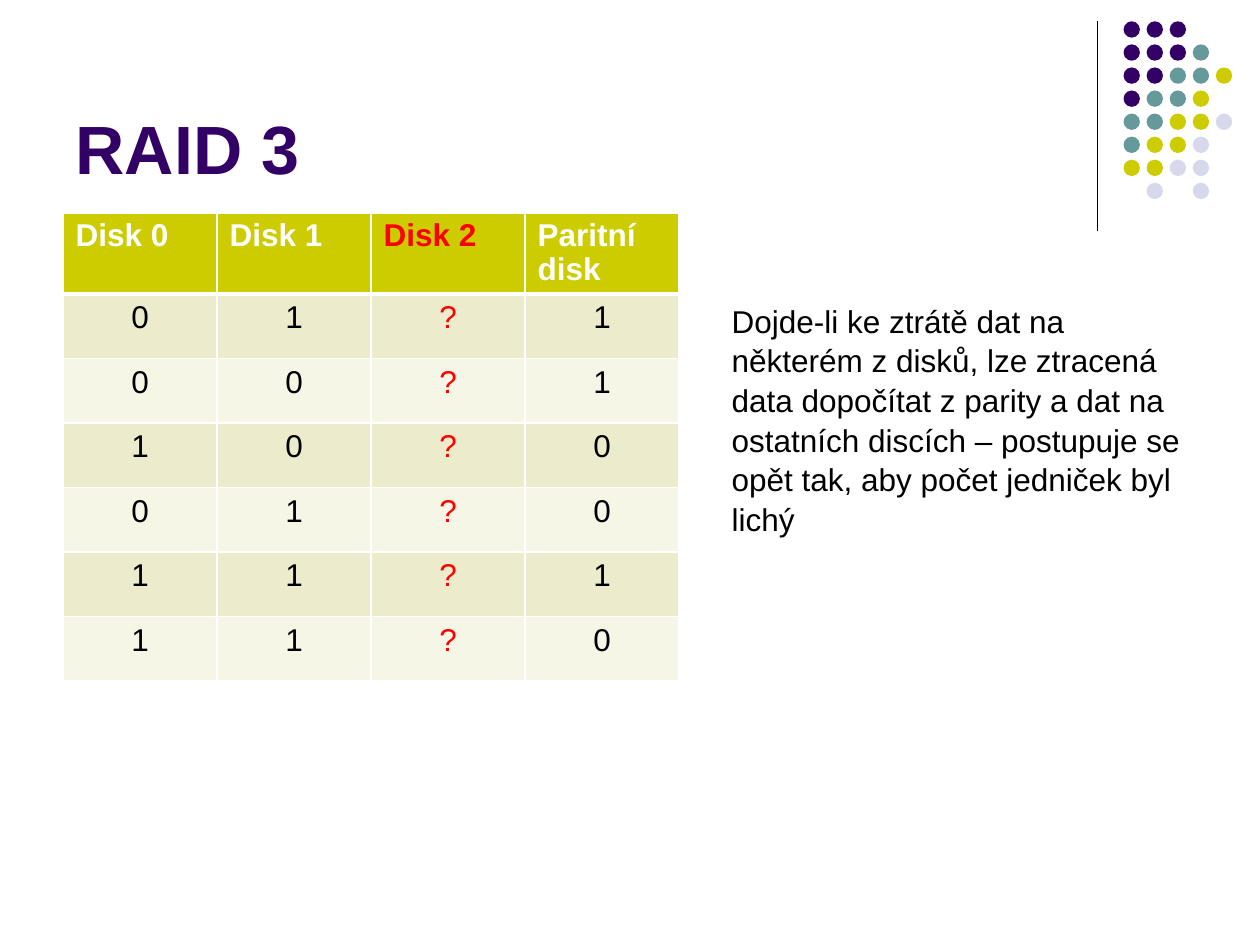
from dataclasses import dataclass

from lxml import etree
from pptx import Presentation
from pptx.dml.color import RGBColor
from pptx.enum.shapes import MSO_CONNECTOR, MSO_SHAPE
from pptx.enum.text import MSO_ANCHOR, PP_ALIGN
from pptx.oxml.ns import qn
from pptx.util import Cm, Pt

STRAIGHT = MSO_CONNECTOR.STRAIGHT
OVAL = MSO_SHAPE.OVAL
BOTTOM = MSO_ANCHOR.BOTTOM
LEFT, CENTER = PP_ALIGN.LEFT, PP_ALIGN.CENTER
TITLE_ONLY = 5

FONT = "Arial"
COLORS = {
    "purple": "330066",
    "teal": "669999",
    "yellow": "CCCC00",
    "lilac": "D8D8EC",
    "band_dark": "ECECCC",
    "band_light": "F6F6E7",
    "red": "FF0000",
    "black": "000000",
    "white": "FFFFFF",
}
DOT_COLORS = {"P": "purple", "T": "teal", "Y": "yellow", "L": "lilac"}
DOT_ROWS = ["PPP", "PPPT", "PPTTY", "PTTY", "TTYYL", "TYYL", "YYLL", " L L"]
DOT_LEFT, DOT_TOP, DOT_PITCH, DOT_SIZE = 22.65, 0.43, 0.465, 0.33

DISK_ROWS = [
    ["Disk 0", "Disk 1", "Disk 2", "Paritní disk"],
    ["0", "1", "?", "1"],
    ["0", "0", "?", "1"],
    ["1", "0", "?", "0"],
    ["0", "1", "?", "0"],
    ["1", "1", "?", "1"],
    ["1", "1", "?", "0"],
]
LOST_DISK = 2
EXPLANATION = (
    "Dojde-li ke ztrátě dat na některém z disků, lze ztracená data dopočítat "
    "z parity a dat na ostatních discích – postupuje se opět tak, "
    "aby počet jedniček byl lichý"
)


@dataclass
class Area:
    left: float
    top: float
    width: float
    height: float

    def lengths(self) -> tuple:
        return Cm(self.left), Cm(self.top), Cm(self.width), Cm(self.height)


def rgb(name: str) -> RGBColor:
    return RGBColor.from_string(COLORS[name])


def write(frame, text: str, *, size: float = 18, color: str = "black",
          bold: bool = False, align=LEFT, spacing: float = 1.0) -> None:
    para = frame.paragraphs[0]
    para.alignment = align
    para.line_spacing = spacing
    span = para.add_run()
    span.text = text
    span.font.name = FONT
    span.font.size = Pt(size)
    span.font.bold = bold
    span.font.color.rgb = rgb(color)


def draw_dot(page, area: Area, color: str) -> None:
    dot = page.shapes.add_shape(OVAL, *area.lengths())
    dot.shadow.inherit = False
    dot.fill.solid()
    dot.fill.fore_color.rgb = rgb(color)
    dot.line.fill.background()


def draw_ornament(page) -> None:
    rule = page.shapes.add_connector(
        STRAIGHT, Cm(22.12), Cm(0.43), Cm(22.12), Cm(4.65))
    rule.line.color.rgb = rgb("black")
    rule.line.width = Pt(0.75)
    etree.SubElement(rule._element.spPr, qn("a:effectLst"))
    for row, marks in enumerate(DOT_ROWS):
        for column, mark in enumerate(marks):
            if mark in DOT_COLORS:
                area = Area(DOT_LEFT + column * DOT_PITCH,
                            DOT_TOP + row * DOT_PITCH, DOT_SIZE, DOT_SIZE)
                draw_dot(page, area, DOT_COLORS[mark])


def set_borders(cell, **widths: float) -> None:
    properties = cell._tc.get_or_add_tcPr()
    for side in "LRTB":
        border = etree.SubElement(properties, qn(f"a:ln{side}"),
                                  w=str(Pt(widths.get(side, 1))))
        fill = etree.SubElement(border, qn("a:solidFill"))
        etree.SubElement(fill, qn("a:srgbClr"), val=COLORS["white"])


def draw_table(page, area: Area, row_height: float) -> None:
    table = page.shapes.add_table(
        len(DISK_ROWS), len(DISK_ROWS[0]), *area.lengths()).table
    table.first_row = False
    table.horz_banding = False
    for row, values in enumerate(DISK_ROWS):
        table.rows[row].height = Cm(row_height)
        header = row == 0
        band = "band_dark" if row % 2 else "band_light"
        for column, value in enumerate(values):
            cell = table.cell(row, column)
            set_borders(cell, B=3 if header else 1, T=3 if row == 1 else 1)
            cell.fill.solid()
            cell.fill.fore_color.rgb = rgb("yellow" if header else band)
            plain = "white" if header else "black"
            write(cell.text_frame, value, bold=header,
                  color="red" if column == LOST_DISK else plain,
                  align=LEFT if header else CENTER,
                  spacing=0.97 if header else 1.0)


def place_title(page, area: Area, text: str) -> None:
    title = page.shapes.title
    title.left, title.top, title.width, title.height = area.lengths()
    title.text_frame.vertical_anchor = BOTTOM
    write(title.text_frame, text, size=39, color="purple", bold=True)


def draw_note(page, area: Area, text: str) -> None:
    box = page.shapes.add_textbox(*area.lengths())
    box.text_frame.word_wrap = True
    write(box.text_frame, text, spacing=1.05)


def main() -> None:
    deck = Presentation()
    deck.slide_width, deck.slide_height = Cm(25.4), Cm(19.05)
    page = deck.slides.add_slide(deck.slide_layouts[TITLE_ONLY])
    draw_ornament(page)
    place_title(page, Area(1.27, 0.33, 20.95, 3.6), "RAID 3")
    draw_table(page, Area(1.27, 4.29, 12.42, 9.63), row_height=1.3)
    draw_note(page, Area(14.5, 5.92, 9.6, 4.88), EXPLANATION)
    deck.save("out.pptx")


if __name__ == "__main__":
    main()
